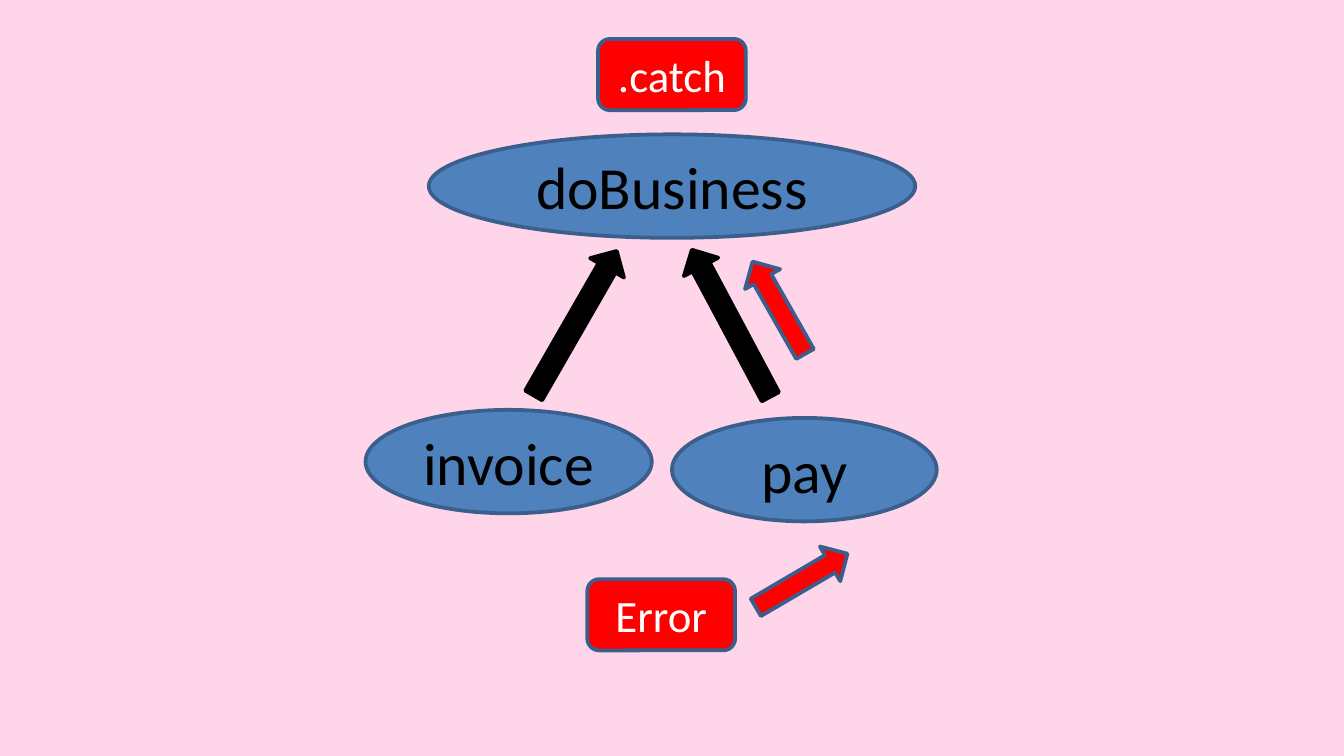
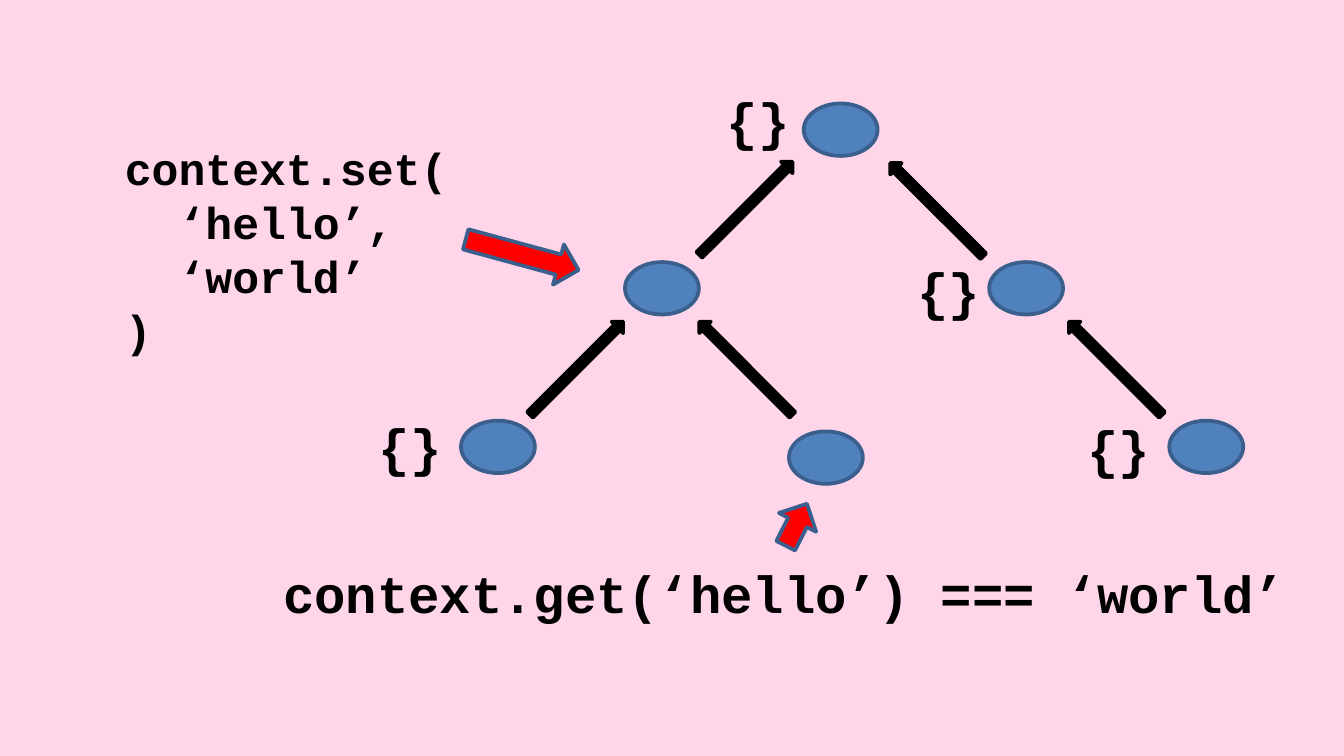
import pptx
import pptx.util
import pptx.dml.color
import pptx.enum.shapes
import pptx.enum.text

Inches = pptx.util.Inches
Pt = pptx.util.Pt
RGB = pptx.dml.color.RGBColor
KIND = pptx.enum.shapes.MSO_SHAPE
ALIGN = pptx.enum.text.PP_ALIGN
ANCHOR = pptx.enum.text.MSO_ANCHOR

# Shared look
PINK = RGB(0xFF, 0xD6, 0xE9)
BLUE = RGB(0x4F, 0x81, 0xBD)
EDGE = RGB(0x3A, 0x5F, 0x8C)
RED = RGB(0xFF, 0x00, 0x00)
BLACK = RGB(0x00, 0x00, 0x00)
WHITE = RGB(0xFF, 0xFF, 0xFF)
SANS = "Calibri"
MONO = "Courier New"


def add_page(deck):
    page = deck.slides.add_slide(deck.slide_layouts[6])
    page.background.fill.solid()
    page.background.fill.fore_color.rgb = PINK
    return page


def put_text(frame, text, size=28, font=MONO, color=BLACK, bold=False,
             align=ALIGN.LEFT, anchor=ANCHOR.TOP, indents=None):
    """Write one paragraph per line; indents maps line number to inches."""
    frame.word_wrap = True
    frame.vertical_anchor = anchor
    for i, line in enumerate(text.split("\n")):
        para = frame.paragraphs[0] if i == 0 else frame.add_paragraph()
        para.alignment = align
        if indents and i in indents:
            para._p.get_or_add_pPr().set("marL", str(Inches(indents[i])))
        run = para.add_run()
        run.text = line
        run.font.size = Pt(size)
        run.font.name = font
        run.font.bold = bold
        run.font.color.rgb = color


def add_form(page, kind, box, fill, edge=EDGE, turn=0):
    form = page.shapes.add_shape(kind, *map(Inches, box))
    form.shadow.inherit = False
    form.fill.solid()
    form.fill.fore_color.rgb = fill
    form.line.color.rgb = edge
    form.line.width = Pt(2)
    form.rotation = turn
    return form


def add_label(page, kind, box, text, fill, **style):
    form = add_form(page, kind, box, fill)
    put_text(form.text_frame, text, font=SANS, align=ALIGN.CENTER,
             anchor=ANCHOR.MIDDLE, **style)


def add_call(page, box, text):
    add_label(page, KIND.OVAL, box, text, BLUE, size=32)


def add_badge(page, left, top, text):
    add_label(page, KIND.ROUNDED_RECTANGLE, (left, top, 1.1, 0.53), text, RED,
              size=24, color=WHITE)


def add_link(page, box, turn):
    add_form(page, KIND.RIGHT_ARROW, box, BLACK, BLACK, turn)


def add_flag(page, box, turn):
    add_form(page, KIND.RIGHT_ARROW, box, RED, turn=turn)


def add_code(page, box, text, **style):
    area = page.shapes.add_textbox(*map(Inches, box))
    put_text(area.text_frame, text, bold=True, **style)


def build_errors(deck):
    page = add_page(deck)

    # Calls
    add_call(page, (3.19, 1, 3.62, 0.77), "doBusiness")
    for left, turn in ((3.66, 299.9), (4.82, 241.9)):
        add_link(page, (left, 2.26, 1.24, 0.29), turn)
    add_call(page, (2.72, 3.05, 2.13, 0.77), "invoice")
    add_call(page, (5, 3.11, 1.97, 0.77), "pay")

    # Error on its way up to the handler
    add_flag(page, (5.57, 4.17, 0.79, 0.3), 329.6)
    add_badge(page, 4.37, 4.31, "Error")
    add_badge(page, 4.45, 0.29, ".catch")
    add_flag(page, (5.4, 2.14, 0.79, 0.3), 240.4)


def build_context(deck):
    page = add_page(deck)

    # Tree of calls
    for left, top in ((5.98, 0.77), (4.65, 1.95), (7.36, 1.95),
                      (3.43, 3.13), (5.87, 3.21), (8.7, 3.13)):
        add_form(page, KIND.OVAL, (left, top, 0.55, 0.39), BLUE)
    for left, top, turn in ((5.06, 1.49, 315), (6.48, 1.5, 225),
                            (3.8, 2.68, 315), (5.06, 2.68, 225),
                            (7.81, 2.68, 225)):
        add_link(page, (left, top, 0.98, 0.12), turn)

    # Empty contexts
    for left, top in ((5.31, 0.61), (6.73, 1.87), (2.72, 3.03), (7.99, 3.05)):
        add_code(page, (left, top, 0.79, 0.57), "{}")

    # Setting and getting a value
    add_code(page, (0.83, 1, 2.68, 1.72),
             "context.set(\n‘hello’,\n‘world’\n)",
             size=24, indents={1: 0.4, 2: 0.4})
    add_flag(page, (3.45, 1.74, 0.87, 0.31), 15.2)
    add_code(page, (2.01, 4.13, 7.87, 1.04), "context.get(‘hello’) === ‘world’")
    add_flag(page, (5.75, 3.75, 0.35, 0.31), 296.8)


def main():
    # Wide 16:9 slides
    deck = pptx.Presentation()
    deck.slide_width = Inches(10)
    deck.slide_height = Inches(10 * 9 / 16)
    build_errors(deck)
    build_context(deck)
    deck.save("out.pptx")


if __name__ == "__main__":
    main()
